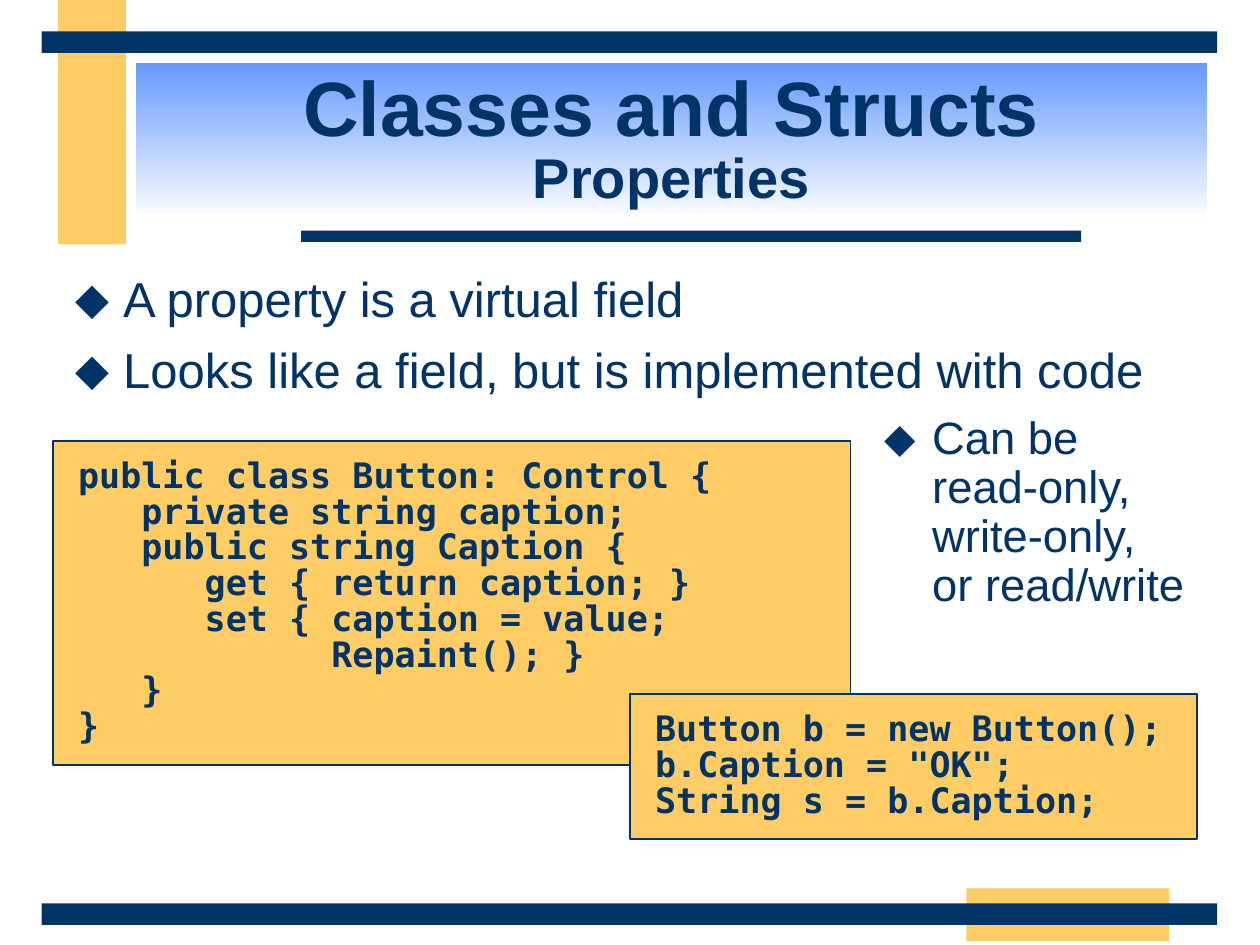
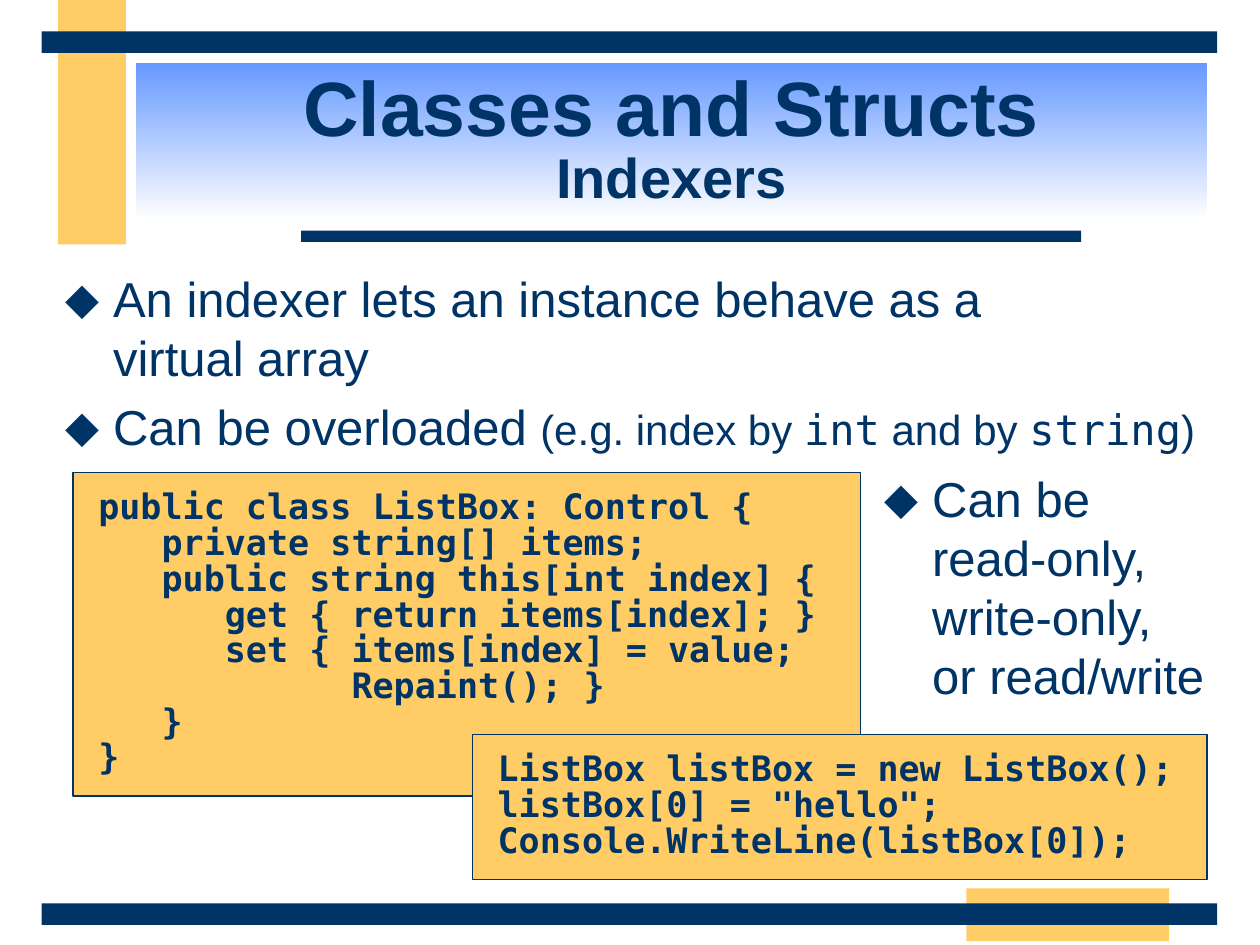
from lxml import etree
from pptx import Presentation
from pptx.dml.color import RGBColor
from pptx.enum import shapes, text
from pptx.oxml import ns
from pptx.util import Inches, Pt

NAVY, GOLD, SKY, WHITE = "003366", "FFCC66", "6699FF", "FFFFFF"
SANS, MONO = "Arial", "DejaVu Sans Mono"
BULLET, BULLET_SCALE, HANGING = "◆", "115000", 0.38
CODE_SIZE, NOTE_SIZE = 20, 24

BANDS = [
    ((0.46, 0, 0.54, 1.94), GOLD),
    ((7.67, 7.05, 1.61, 0.42), GOLD),
    ((2.39, 1.83, 6.19, 0.09), NAVY),
    ((0.33, 7.17, 9.33, 0.17), NAVY),
    ((0.33, 0.25, 9.33, 0.17), NAVY),
]
TITLE_AREA = (1.08, 0.5, 8.5, 1.25)
TOPIC = "Classes and Structs"
ACCESS = [["Can be\nread-only, write-only,\nor read/write"]]

# A bullet is a list of runs: plain text, or (text, size, font).
SLIDES = [
    {
        "subtitle": "Properties",
        "code": [
            ((0.42, 3.5, 6.33, 2.57), """\
public class Button: Control {
   private string caption;
   public string Caption {
      get { return caption; }
      set { caption = value;
            Repaint(); }
   }
}"""),
            ((5, 5.51, 4.5, 1.15), """\
Button b = new Button();
b.Caption = "OK";
String s = b.Caption;"""),
        ],
        "bullets": [
            {"area": (0.5, 2.08, 9, 4.92), "gap": 7, "size": 28, "spacing": 1.0,
             "points": [["A property is a virtual field"],
                        ["Looks like a field, but is implemented with code"]]},
            {"area": (6.92, 3.25, 2.92, 1.92), "gap": 7, "size": 25.9, "spacing": 0.9,
             "points": ACCESS},
        ],
    },
    {
        "subtitle": "Indexers",
        "code": [
            ((0.58, 3.75, 6.25, 2.57), """\
public class ListBox: Control {
   private string[] items;
   public string this[int index] {
      get { return items[index]; }
      set { items[index] = value;
            Repaint(); }
   }
}"""),
            ((3.75, 5.83, 5.83, 1.15), """\
ListBox listBox = new ListBox();
listBox[0] = "hello";
Console.WriteLine(listBox[0]);"""),
        ],
        "bullets": [
            {"area": (0.42, 2.08, 9.5, 4.92), "gap": 6, "size": 28, "spacing": 1.0,
             "points": [["An indexer lets an instance behave as a\nvirtual array"],
                        ["Can be overloaded ",
                         ("(e.g. index by ", NOTE_SIZE, SANS),
                         ("int", NOTE_SIZE, MONO),
                         (" and by ", NOTE_SIZE, SANS),
                         ("string", NOTE_SIZE, MONO),
                         (")", NOTE_SIZE, SANS)]]},
            {"area": (6.92, 3.67, 2.92, 2), "gap": 7, "size": 28, "spacing": 1.0,
             "points": ACCESS},
        ],
    },
]


def rgb(hex_colour):
    return RGBColor.from_string(hex_colour)


def add_rectangle(slide, area, colour=None):
    """Add a flat rectangle without outline; leave the fill open if no colour."""
    rectangle = slide.shapes.add_shape(
        shapes.MSO_SHAPE.RECTANGLE, *map(Inches, area))
    rectangle.shadow.inherit = False
    rectangle.line.fill.background()
    if colour:
        rectangle.fill.solid()
        rectangle.fill.fore_color.rgb = rgb(colour)
    return rectangle


def set_margins(frame, side, end):
    frame.word_wrap = True
    frame.margin_left = frame.margin_right = Inches(side)
    frame.margin_top = frame.margin_bottom = Inches(end)


def add_run(paragraph, words, size, font=SANS, bold=False):
    """Add words as runs, with a line break at each newline."""
    for number, line in enumerate(words.split("\n")):
        if number:
            paragraph.add_line_break()
        run = paragraph.add_run()
        run.text = line
        run.font.size, run.font.name, run.font.bold = Pt(size), font, bold
        run.font.color.rgb = rgb(NAVY)


def next_paragraph(frame, number):
    return frame.add_paragraph() if number else frame.paragraphs[0]


def add_diamond(paragraph):
    properties = paragraph._p.get_or_add_pPr()
    properties.set("marL", str(Inches(HANGING)))
    properties.set("indent", str(-Inches(HANGING)))
    colour = etree.SubElement(properties, ns.qn("a:buClr"))
    etree.SubElement(colour, ns.qn("a:srgbClr"), val=NAVY)
    etree.SubElement(properties, ns.qn("a:buSzPct"), val=BULLET_SCALE)
    etree.SubElement(properties, ns.qn("a:buFont"), typeface=MONO)
    etree.SubElement(properties, ns.qn("a:buChar"), char=BULLET)


def add_code(slide, area, code):
    panel = add_rectangle(slide, area, GOLD)
    panel.line.color.rgb = rgb(NAVY)
    panel.line.width = Pt(1)
    frame = panel.text_frame
    set_margins(frame, 0.2, 0.15)
    frame.auto_size = text.MSO_AUTO_SIZE.SHAPE_TO_FIT_TEXT
    frame.vertical_anchor = text.MSO_ANCHOR.TOP
    for number, line in enumerate(code.split("\n")):
        paragraph = next_paragraph(frame, number)
        paragraph.alignment = text.PP_ALIGN.LEFT
        paragraph.line_spacing = 0.85
        add_run(paragraph, line, CODE_SIZE, MONO, bold=True)


def add_title(slide, subtitle):
    banner = add_rectangle(slide, TITLE_AREA)
    banner.fill.gradient()
    banner.fill.gradient_angle = 270
    for stop, colour in zip(banner.fill.gradient_stops, (SKY, WHITE)):
        stop.color.rgb = rgb(colour)
    frame = banner.text_frame
    set_margins(frame, 0.1, 0.05)
    frame.vertical_anchor = text.MSO_ANCHOR.MIDDLE
    heading = frame.paragraphs[0]
    heading.alignment = text.PP_ALIGN.CENTER
    heading.line_spacing = 0.85
    add_run(heading, TOPIC, 44, bold=True)
    heading.add_line_break()
    add_run(heading, subtitle, 32, bold=True)


def add_bullets(slide, area, points, size, spacing, gap):
    frame = slide.shapes.add_textbox(*map(Inches, area)).text_frame
    set_margins(frame, 0.1, 0.05)
    for number, point in enumerate(points):
        paragraph = next_paragraph(frame, number)
        add_diamond(paragraph)
        paragraph.line_spacing = spacing
        if number:
            paragraph.space_before = Pt(gap)
        for part in point:
            if isinstance(part, str):
                part = (part, size)
            add_run(paragraph, *part)


def main():
    deck = Presentation()
    deck.slide_width, deck.slide_height = Inches(10), Inches(7.5)
    for content in SLIDES:
        slide = deck.slides.add_slide(deck.slide_layouts[6])
        for area, colour in BANDS:
            add_rectangle(slide, area, colour)
        for area, code in content["code"]:
            add_code(slide, area, code)
        add_title(slide, content["subtitle"])
        for block in content["bullets"]:
            add_bullets(slide, **block)
    deck.save("out.pptx")


if __name__ == "__main__":
    main()
